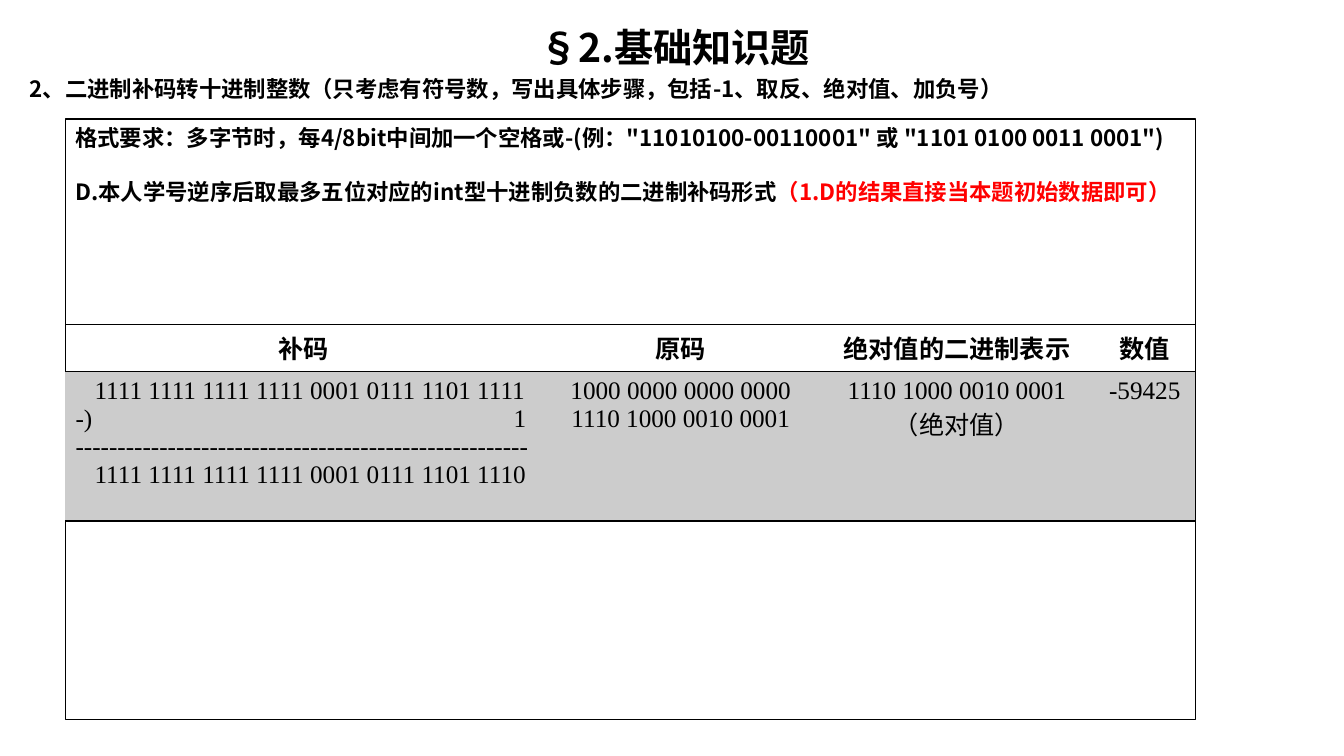
"""Build the slide on turning a two's complement number into a decimal integer."""
import pptx
import pptx.dml.color
import pptx.enum.shapes
import pptx.enum.text
import pptx.oxml
import pptx.oxml.ns
import pptx.util
from dataclasses import dataclass

Cm, Pt = pptx.util.Cm, pptx.util.Pt
ALIGN = pptx.enum.text.PP_ALIGN


@dataclass(frozen=True)
class Theme:
    black: str = "000000"
    red: str = "FF0000"
    gray: str = "CCCCCC"
    cjk: str = "Noto Sans CJK SC"
    serif: str = "Times New Roman"
    title: int = 28
    body: int = 16
    table: int = 18


T = Theme()


def style(r, size, font, bold, color=T.black):
    r.font.size, r.font.name, r.font.bold = Pt(size), font, bold
    r.font.color.rgb = pptx.dml.color.RGBColor.from_string(color)
    ea = pptx.oxml.parse_xml(f'<a:ea {pptx.oxml.ns.nsdecls("a")} typeface="{T.cjk}"/>')
    r.font._element.find(pptx.oxml.ns.qn("a:latin")).addnext(ea)


def border(cell, side):
    cell._tc.get_or_add_tcPr().append(pptx.oxml.parse_xml(
        f'<a:{side} {pptx.oxml.ns.nsdecls("a")} w="12700"><a:solidFill>'
        f'<a:srgbClr val="{T.black}"/></a:solidFill></a:{side}>'))


prs = pptx.Presentation()
prs.slide_width, prs.slide_height = Cm(33.87), Cm(19.05)
s = prs.slides.add_slide(prs.slide_layouts[6])

tf = s.shapes.add_textbox(Cm(0.5), Cm(0.46), Cm(33), Cm(18)).text_frame
tf.word_wrap = True
tf.text = "§2.基础知识题\n2、二进制补码转十进制整数（只考虑有符号数，写出具体步骤，包括-1、取反、绝对值、加负号）"
for p, size in zip(tf.paragraphs, (T.title, T.body)):
    p.line_spacing = Pt(size * 1.2)
    style(p.runs[0], size, T.cjk, True)
tf.paragraphs[0].alignment = ALIGN.CENTER
tf.paragraphs[1].space_before = Pt(3.2)

left, width = Cm(1.65), Cm(28.47)
sp = s.shapes.add_shape(pptx.enum.shapes.MSO_SHAPE.RECTANGLE, left, Cm(3), width, Cm(15.14))
sp.shadow.inherit = False
sp.fill.background()
sp.line.color.rgb = pptx.dml.color.RGBColor.from_string(T.black)
sp.line.width = Pt(0.75)
tf = sp.text_frame
tf.word_wrap = True
tf.vertical_anchor = pptx.enum.text.MSO_ANCHOR.TOP
tf.text = ('格式要求：多字节时，每4/8bit中间加一个空格或-(例："11010100-00110001" 或 "1101 0100 0011 0001")\n'
           "D.本人学号逆序后取最多五位对应的int型十进制负数的二进制补码形式")
tf.paragraphs[1].add_run().text = "（1.D的结果直接当本题初始数据即可）"
tf.paragraphs[1].space_before = Pt(19.3)
for p in tf.paragraphs:
    p.alignment, p.line_spacing = ALIGN.LEFT, Pt(19.3)
    for r, color in zip(p.runs, (T.black, T.red)):
        style(r, T.body, T.cjk, True, color)

rows = [
    ["补码", "原码", "绝对值的二进制表示", "数值"],
    ["1111 1111 1111 1111 0001 0111 1101 1111\n-)\t1\n" + "-" * 54
     + "\n1111 1111 1111 1111 0001 0111 1101 1110",
     "1000 0000 0000 0000 1110 1000 0010 0001",
     "1110 1000 0010 0001（绝对值）", "-59425"],
]
frame = s.shapes.add_table(2, 4, left, Cm(8.18), width, Cm(4.95))
table = frame.table
table.first_row = table.horz_banding = False
table._tbl.tblPr.find(pptx.oxml.ns.qn("a:tableStyleId")).text = "{2D5ABB26-0587-4C30-8999-92F81FD0307C}"
for column, w in zip(table.columns, (12.01, 6.99, 6.93, 2.54)):
    column.width = Cm(w)
for row, h in zip(table.rows, (1.19, 3.76)):
    row.height = Cm(h)
for i, texts in enumerate(rows):
    for j, text in enumerate(texts):
        cell = table.cell(i, j)
        cell.text = text
        for p in cell.text_frame.paragraphs:
            p.alignment = ALIGN.LEFT if (i, j) == (1, 0) else ALIGN.CENTER
            for r in p.runs:
                style(r, T.table, T.serif, i == 0)
        border(cell, "lnT")
        border(cell, "lnB")
        if i == 0:
            cell.fill.background()
        else:
            cell.fill.solid()
            cell.fill.fore_color.rgb = pptx.dml.color.RGBColor.from_string(T.gray)

steps = table.cell(1, 0).text_frame.paragraphs
for p in (steps[0], steps[3]):
    p._p.get_or_add_pPr().set("marL", str(Cm(0.48)))
    p._p.get_or_add_pPr().set("indent", "0")
steps[1]._p.get_or_add_pPr().append(pptx.oxml.parse_xml(
    f'<a:tabLst {pptx.oxml.ns.nsdecls("a")}><a:tab pos="{Cm(11.36)}" algn="r"/></a:tabLst>'))

prs.save("out.pptx")
